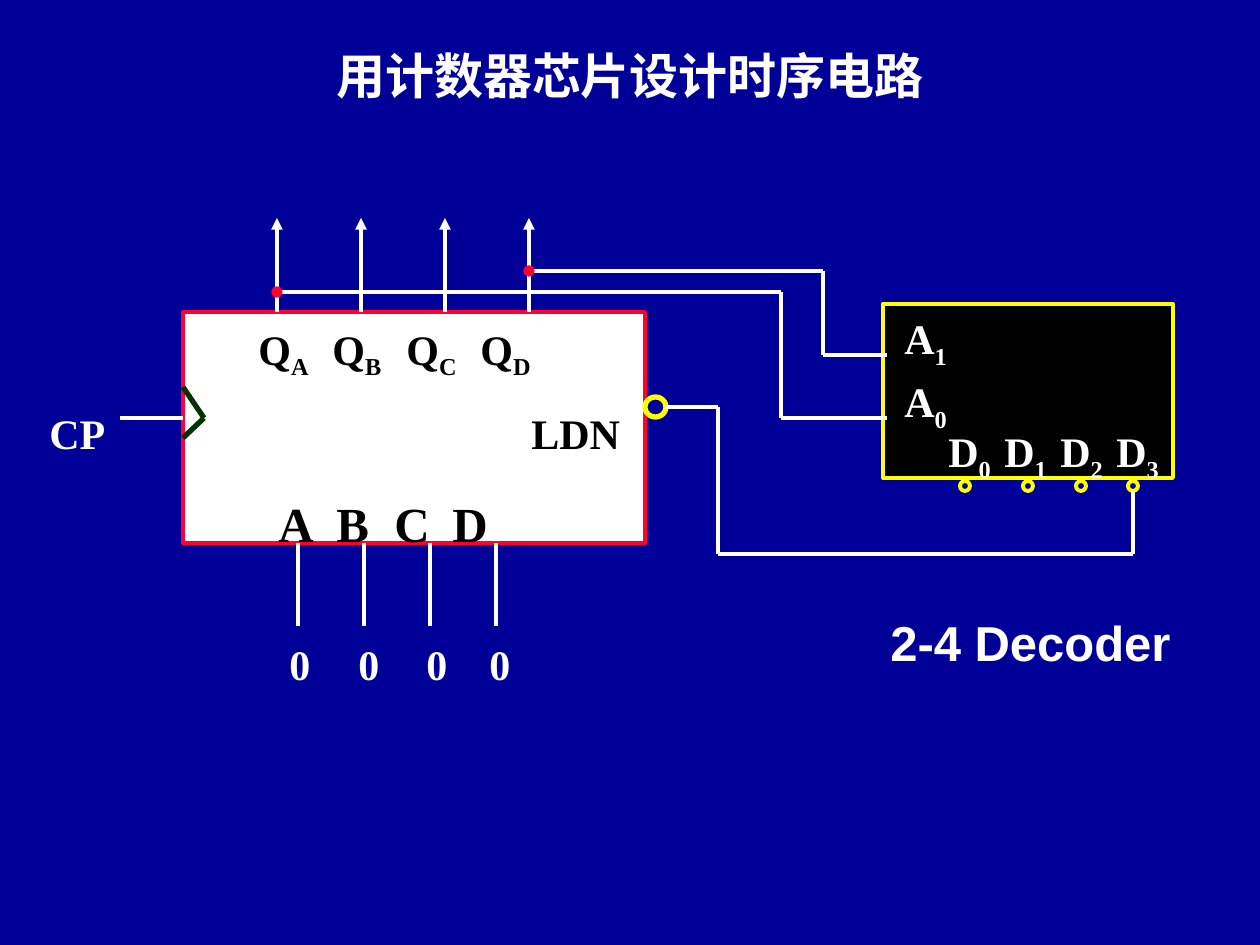
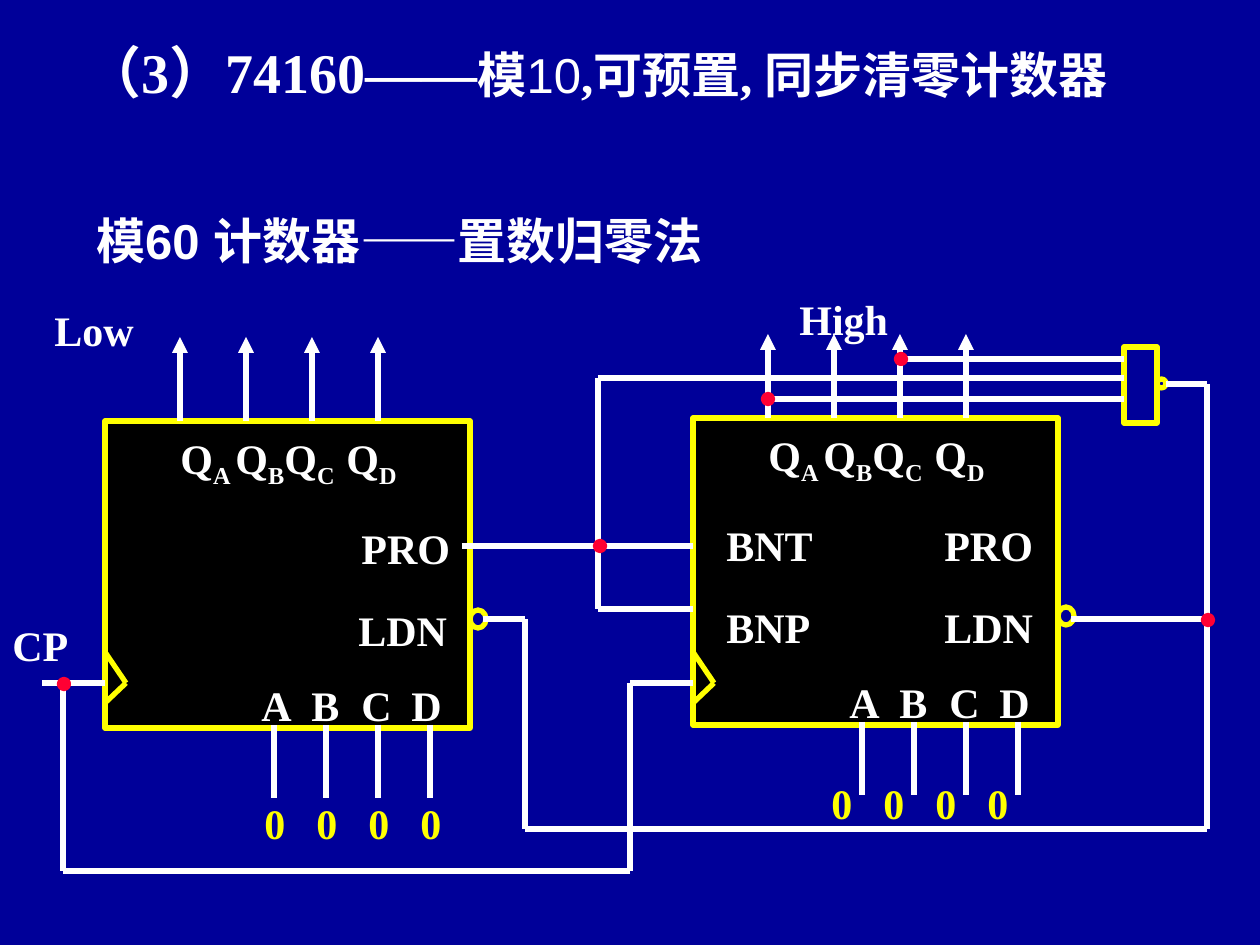
from lxml import etree
from pptx import Presentation
from pptx import util as u
from pptx.dml.color import RGBColor
from pptx.enum import shapes, text
from pptx.oxml import ns

SCALE = 914400 / 126  # EMU in one px
NAVY = RGBColor(0x00, 0x00, 0x99)
WHITE = RGBColor(0xFF, 0xFF, 0xFF)
BLACK = RGBColor(0x00, 0x00, 0x00)
RED = RGBColor(0xFF, 0x00, 0x33)
YELLOW = RGBColor(0xFF, 0xFF, 0x00)
GREEN = RGBColor(0x00, 0x33, 0x00)
SERIF, SANS = "Times New Roman", "Arial"
LABEL = {"size": u.Pt(24), "name": SERIF, "bold": True}
HEADING = {"size": u.Pt(28), "name": SANS, "bold": True}
PIN_ROW = {**LABEL, "size": u.Pt(28)}
RECT, OVAL = shapes.MSO_SHAPE.RECTANGLE, shapes.MSO_SHAPE.OVAL


def px(value):
    return u.Emu(round(value * SCALE))


def apply(target, values):
    for key, value in values.items():
        setattr(target, key, value)


def add_span(para, words, style, color, lowered=False):
    span = para.add_run()
    span.text = words
    apply(span.font, style)
    span.font.color.rgb = color
    if lowered:
        span.font._element.set("baseline", "-25000")


def add_words(para, words, style, color):
    """An underscore lowers the character that follows it."""
    first, *rest = words.split("_")
    if first:
        add_span(para, first, style, color)
    for piece in rest:
        add_span(para, piece[0], style, color, lowered=True)
        if piece[1:]:
            add_span(para, piece[1:], style, color)


def set_tabs(para, stops):
    if not stops:
        return
    tabs = etree.SubElement(para._p.get_or_add_pPr(), ns.qn("a:tabLst"))
    for stop in stops:
        etree.SubElement(tabs, ns.qn("a:tab"), pos=str(px(stop)), algn="l")


def set_frame(box, top_margin=11):
    apply(box.text_frame, {
        "word_wrap": True, "vertical_anchor": text.MSO_ANCHOR.TOP,
        "margin_top": px(top_margin), "margin_bottom": px(6)})
    return box.text_frame


def label(page, left, top, words, width=90, height=63, style=LABEL,
          color=WHITE, align=text.PP_ALIGN.LEFT, tabs=()):
    box = page.shapes.add_textbox(px(left), px(top), px(width), px(height))
    para = set_frame(box).paragraphs[0]
    para.alignment = align
    set_tabs(para, tabs)
    add_words(para, words, style, color)


def shape(page, kind, left, top, width, height, line, weight, fill=None):
    box = page.shapes.add_shape(kind, px(left), px(top), px(width), px(height))
    box.shadow.inherit = False
    if fill is None:
        box.fill.background()
    else:
        box.fill.solid()
        box.fill.fore_color.rgb = fill
    box.line.color.rgb = line
    box.line.width = u.Pt(weight)
    return box


def dot(page, x, y, weight, size=10):
    shape(page, OVAL, x - size / 2, y - size / 2, size, size, RED, weight, RED)


def wire(page, weight, *points, color=WHITE, arrow=False):
    for start, end in zip(points, points[1:]):
        link = page.shapes.add_connector(
            shapes.MSO_CONNECTOR.STRAIGHT, *map(px, start + end))
        link.line.color.rgb = color
        link.line.width = u.Pt(weight)
        if arrow:
            etree.SubElement(link.line._get_or_add_ln(), ns.qn("a:tailEnd"),
                             type="triangle")
        etree.SubElement(link._element.spPr, ns.qn("a:effectLst"))


def pins(page, weight, first, step, start, end, arrow=False):
    for i in range(4):
        x = first + step * i
        wire(page, weight, (x, start), (x, end), arrow=arrow)


def clock_input(page, left, y, weight, color):
    wire(page, 3, (left, y - 31), (left + 21, y), (left, y + 20), color=color)
    wire(page, weight, (left - 63, y), (left, y))


def chip_text(box, rows, color):
    """Each row is (words, tab stops, space before, style)."""
    frame = set_frame(box)
    for i, (words, tabs, space, style) in enumerate(rows):
        para = frame.add_paragraph() if i else frame.paragraphs[0]
        para.alignment = text.PP_ALIGN.LEFT
        if space:
            para.space_before = px(space)
        set_tabs(para, tabs)
        add_words(para, words, style, color)


def new_page(deck):
    page = deck.slides.add_slide(deck.slide_layouts[6])
    page.background.fill.solid()
    page.background.fill.fore_color.rgb = NAVY
    return page


# ---- Slide 1: counter with decoder ----
def white_counter(page, left, top):
    height = 231
    chip = shape(page, RECT, left, top, 462, height, RED, 2.25, WHITE)
    chip_text(chip, [
        ("\tQ_A\tQ_B\tQ_C\tQ_D", [63 + 74 * i for i in range(4)], 0, LABEL),
        ("\tLDN", [336], 27, LABEL),
        ("\tA\tB\tC\tD", [83 + 58 * i for i in range(4)], 36, PIN_ROW),
    ], BLACK)
    shape(page, OVAL, left + 462, top + 85, 21, 20, YELLOW, 3)
    pins(page, 2.25, left + 94, 84, top, top - 94, arrow=True)
    pins(page, 2.25, left + 115, 66, top + height, top + height + 83)
    for x in (94, 163, 231, 294):
        label(page, left + x, top + 315, "0")
    clock_input(page, left, top + 106, 2.25, GREEN)
    label(page, left - 146, top + 85, "CP", 84)


def decoder(page, left, top):
    shape(page, RECT, left, top, 290, 174, YELLOW, 2.25, BLACK)
    for i, y in enumerate((61, -2)):
        label(page, left + 9, top + y, f"A_{i}")
    for i, x in enumerate((77, 140, 193, 245)):
        label(page, left + 53 + 56 * i, top + 111, f"D_{i}")
        shape(page, OVAL, left + x, top + 177, 10, 10, YELLOW, 2.25)
    label(page, left - 5, top + 297, "2-4 Decoder", 318, 72, HEADING)


def decoder_page(deck):
    page = new_page(deck)
    label(page, 0, 34, "用计数器芯片设计时序电路", 1260, 72, HEADING,
          align=text.PP_ALIGN.CENTER)
    white_counter(page, 183, 312)
    decoder(page, 883, 304)
    # Address lines and load feedback
    wire(page, 2.25, (529, 271), (823, 271), (823, 355), (887, 355))
    wire(page, 2.25, (277, 292), (781, 292), (781, 418), (887, 418))
    wire(page, 2.25, (1133, 491), (1133, 554), (718, 554), (718, 407),
         (666, 407))
    dot(page, 277, 292, 0.75)
    dot(page, 529, 271, 0.75)


# ---- Slide 2: two cascaded counters ----
def black_counter(page, left, top, load_rows):
    height = 307
    chip = shape(page, RECT, left, top, 365, height, YELLOW, 3, BLACK)
    chip_text(chip, [
        ("\tQ_A\tQ_B\tQ_C\tQ_D", [63, 118, 167, 229], 0, LABEL),
        *load_rows,
        ("\tA\tB\tC\tD", [144 + 50 * i for i in range(4)], 24, LABEL),
    ], WHITE)
    pins(page, 3, left + 75, 66, top, top - 84, arrow=True)
    pins(page, 3, left + 169, 52, top + height - 3, top + height + 70)
    shape(page, OVAL, left + 365, top + 189, 16, 18, YELLOW, 3)
    clock_input(page, left, 683, 3, YELLOW)


def zeros(page, left, top):
    label(page, left, top, "0\t0\t0\t0", 262, color=YELLOW,
          tabs=[52 * i for i in range(1, 4)])


def nand_gate(page, left, top):
    shape(page, RECT, left, top, 33, 76, YELLOW, 3)
    shape(page, OVAL, left + 33, top + 32, 9, 9, YELLOW, 3)


def headings(page):
    box = page.shapes.add_textbox(px(73), px(31), px(1071), px(81))
    para = set_frame(box, 6).paragraphs[0]
    properties = para._p.get_or_add_pPr()
    properties.set("marL", str(px(407)))
    properties.set("indent", str(px(-407)))
    for words, style in (
            ("（3）74160——", {**LABEL, "size": u.Pt(32)}),
            ("模", PIN_ROW),
            ("10", {**HEADING, "bold": False}),
            (",可预置, 同步清零计数器", PIN_ROW)):
        add_span(para, words, style, WHITE)
    label(page, 84, 199, "模60 计数器——置数归零法", 1071, 72, HEADING)


def cascade_page(deck):
    page = new_page(deck)
    headings(page)
    black_counter(page, 105, 421, [
        ("\tPRO", [244], 33, LABEL), ("\tLDN", [241], 32, LABEL)])
    black_counter(page, 693, 418, [
        ("\tBNT\tPRO", [21, 239], 33, LABEL),
        ("\tBNP\tLDN", [21, 239], 32, LABEL)])
    nand_gate(page, 1124, 347)
    for route in (
            [(462, 546), (693, 546)],                          # carry
            [(693, 609), (598, 609), (598, 378), (1124, 378)],  # enable
            [(767, 399), (1124, 399)],
            [(903, 359), (1124, 359)],
            [(1166, 384), (1207, 384), (1207, 829), (525, 829),
             (525, 619), (483, 619)],                          # load
            [(1207, 619), (1071, 619)],
            [(630, 683), (630, 871), (63, 871), (63, 683)]):   # clock
        wire(page, 3, *route)
    for x, y in ((768, 399), (901, 359), (600, 546), (64, 684), (1208, 620)):
        dot(page, x, y, 3, 9)
    zeros(page, 252, 787)
    zeros(page, 819, 766)
    label(page, 0, 609, "CP", 84)
    label(page, 42, 294, "Low", 147)
    label(page, 787, 283, "High", 147)


def main():
    deck = Presentation()
    deck.slide_width, deck.slide_height = px(1260), px(945)
    decoder_page(deck)
    cascade_page(deck)
    deck.save("out.pptx")


if __name__ == "__main__":
    main()
